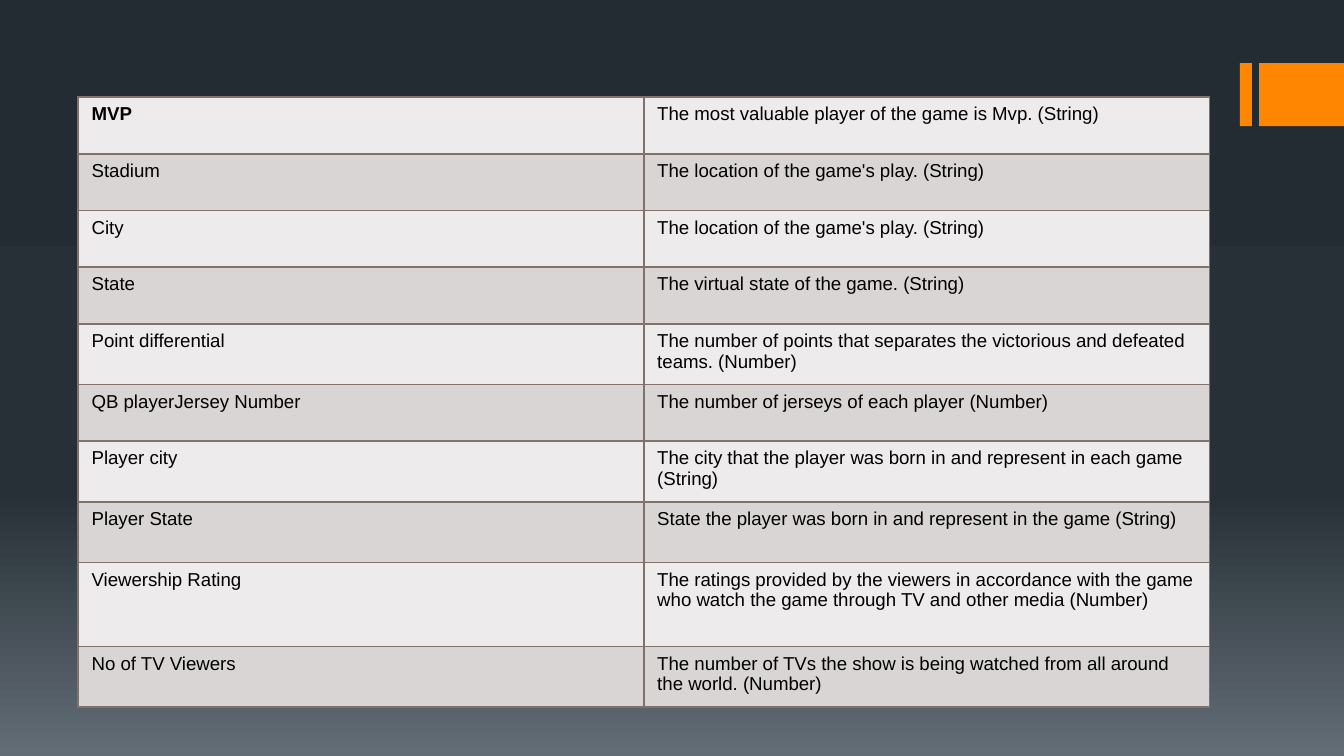
from copy import deepcopy

from lxml.etree import SubElement
from pptx import Presentation
from pptx.dml.color import RGBColor
from pptx.enum.shapes import MSO_SHAPE
from pptx.oxml.ns import qn
from pptx.util import Pt

SLIDE_WIDTH, SLIDE_HEIGHT = 720, 405
FONT = "Arial"
ACCENT, BORDER, TEXT = "FF8600", "80716A", "000000"
ROW_FILLS = ("EDEBEB", "D8D5D4")
BACKGROUND_STOPS = [(0, "242C33"), (0.65, "273037"), (1, "636D76")]
ONE_LINE, TWO_LINES, THREE_LINES = 30.4, 32.5, 45

# Field, description, row height
FIELDS = [
    ("MVP", "The most valuable player of the game is Mvp. (String)", ONE_LINE),
    ("Stadium", "The location of the game's play. (String)", ONE_LINE),
    ("City", "The location of the game's play. (String)", ONE_LINE),
    ("State", "The virtual state of the game. (String)", ONE_LINE),
    ("Point differential",
     "The number of points that separates the victorious and defeated teams. (Number)",
     TWO_LINES),
    ("QB playerJersey Number", "The number of jerseys of each player (Number)", ONE_LINE),
    ("Player city",
     "The city that the player was born in and represent in each game (String)",
     TWO_LINES),
    ("Player State", "State the player was born in and represent in the game (String)",
     TWO_LINES),
    ("Viewership Rating",
     "The ratings provided by the viewers in accordance with the game who watch "
     "the game through TV and other media (Number)", THREE_LINES),
    ("No of TV Viewers",
     "The number of TVs the show is being watched from all around the world. (Number)",
     TWO_LINES),
]


def color(hex_string):
    return RGBColor.from_string(hex_string)


def set_background(slide):
    fill = slide.background.fill
    fill.gradient()
    fill.gradient_angle = 270  # counter-clockwise, so dark at the top
    stop_list = slide.element.find(".//" + qn("a:gsLst"))
    stop_list.append(deepcopy(stop_list[0]))
    for stop, (position, hex_string) in zip(fill.gradient_stops, BACKGROUND_STOPS):
        stop.position = position
        stop.color.rgb = color(hex_string)


def add_bar(slide, left, width):
    shape = slide.shapes.add_shape(
        MSO_SHAPE.RECTANGLE, Pt(left), Pt(33.8), Pt(width), Pt(33.8))
    shape.shadow.inherit = False
    shape.fill.solid()
    shape.fill.fore_color.rgb = color(ACCENT)
    shape.line.fill.background()


def set_borders(cell):
    """Draw all four sides; the lines must precede the fill in the cell's XML."""
    properties = cell._tc.get_or_add_tcPr()
    for side in ("a:lnL", "a:lnR", "a:lnT", "a:lnB"):
        line = SubElement(properties, qn(side), w=str(Pt(1)))
        SubElement(SubElement(line, qn("a:solidFill")), qn("a:srgbClr"), val=BORDER)


def format_cell(cell, text, fill, bold):
    set_borders(cell)
    cell.fill.solid()
    cell.fill.fore_color.rgb = color(fill)
    run = cell.text_frame.paragraphs[0].add_run()
    run.text = text
    run.font.name = FONT
    run.font.size = Pt(10)
    run.font.bold = bold
    run.font.color.rgb = color(TEXT)


def add_field_table(slide):
    height = sum(row_height for _, _, row_height in FIELDS)
    table = slide.shapes.add_table(
        len(FIELDS), 2, Pt(41.9), Pt(52), Pt(606), Pt(height)).table
    table.first_row = False
    table.horz_banding = False
    for index, (name, description, row_height) in enumerate(FIELDS):
        table.rows[index].height = Pt(row_height)
        fill = ROW_FILLS[index % 2]
        format_cell(table.cell(index, 0), name, fill, bold=index == 0)
        format_cell(table.cell(index, 1), description, fill, bold=False)


def main():
    presentation = Presentation()
    presentation.slide_width = Pt(SLIDE_WIDTH)
    presentation.slide_height = Pt(SLIDE_HEIGHT)
    slide = presentation.slides.add_slide(presentation.slide_layouts[6])
    set_background(slide)
    add_bar(slide, 664.2, 6.5)
    add_bar(slide, 674.6, SLIDE_WIDTH - 674.6)
    add_field_table(slide)
    presentation.save("out.pptx")


if __name__ == "__main__":
    main()
